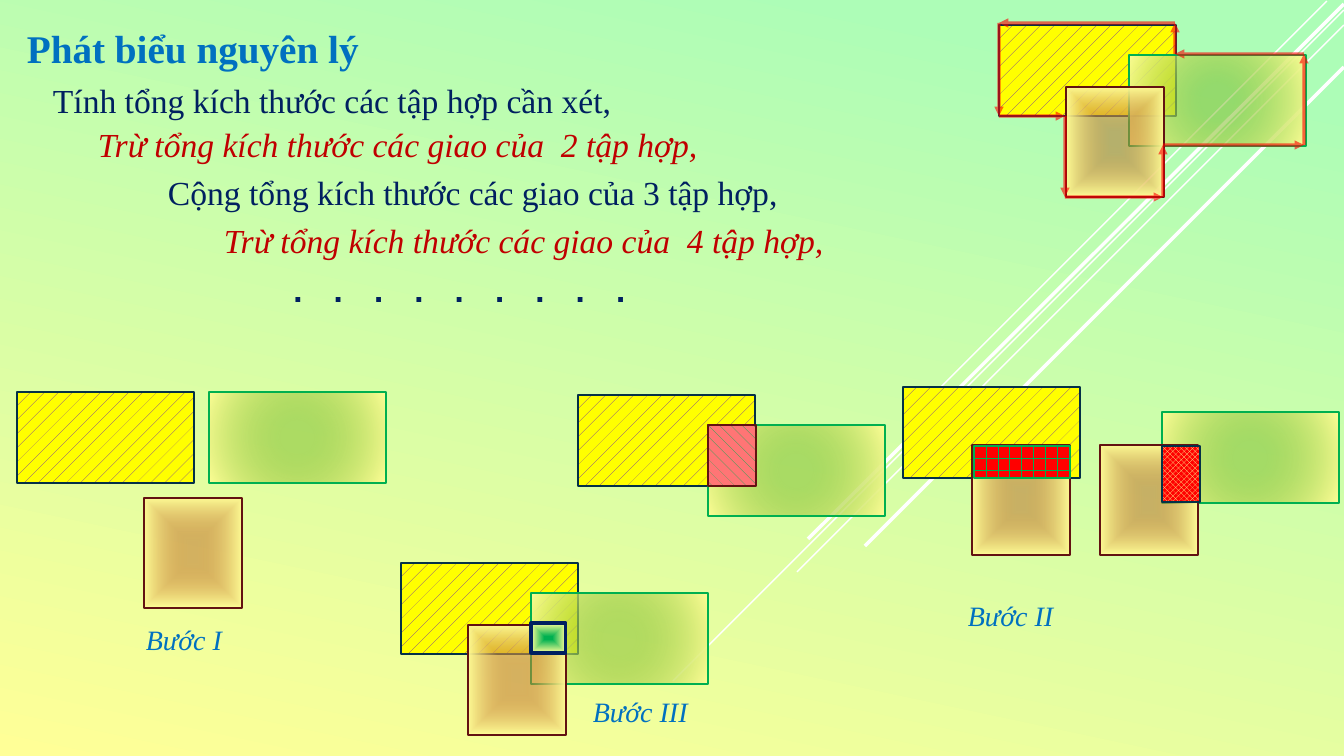
from dataclasses import dataclass
from itertools import pairwise

from lxml.etree import SubElement
from pptx import Presentation
from pptx.dml.color import RGBColor
from pptx.enum.dml import MSO_PATTERN_TYPE as Pattern
from pptx.enum.shapes import MSO_CONNECTOR_TYPE as Connector
from pptx.enum.shapes import MSO_SHAPE as Shape
from pptx.enum.text import MSO_AUTO_SIZE as AutoSize
from pptx.oxml.ns import qn
from pptx.util import Emu, Pt


@dataclass(frozen=True)
class Theme:
    serif: str = "Times New Roman"
    mono: str = "Courier New"
    title_size: int = 28
    body_size: int = 24
    label_size: int = 20
    blue: str = "0070C0"
    navy: str = "002060"
    crimson: str = "C00000"
    ink: str = "043148"
    maroon: str = "631212"
    green: str = "00B050"
    olive: str = "7CB924"
    brown: str = "B95615"
    cream: str = "FFFF97"
    mint: str = "ADFDB7"
    yellow: str = "FFFF00"
    purple: str = "7030A0"
    pink: str = "FF7575"
    red: str = "FF0000"
    white: str = "FFFFFF"


THEME = Theme()
SCALE = 914400 / 100.8
PAGE_SIZE = (1344, 756)

TITLE = ("Phát biểu nguyên lý", 17, 19, 356, 56)
PRINCIPLE = [
    ("Tính tổng kích thước các tập hợp cần xét,", 43, 75, 627, 50),
    ("Trừ tổng kích thước các giao của  2 tập hợp,", 88, 119, 634, 50),
    ("Cộng tổng kích thước các giao của 3 tập hợp,", 158, 167, 652, 50),
    ("Trừ tổng kích thước các giao của  4 tập hợp,", 214, 215, 634, 50),
]
DOTS = (". . . . . . . . .", 278, 264, 392, 50)
STEPS = [("Bước I", 136, 618), ("Bước II", 958, 594), ("Bước III", 583, 690)]
STEP_SIZE = (125, 44)

RAYS = [
    ((1327, 1), (907, 421), 1),
    ((1344, 10), (673, 681), 1),
    ((1344, 25), (797, 572), 1),
    ((1344, 4), (808, 539), 2.5),
    ((1344, 67), (865, 546), 2.5),
]
UNION_OUTLINE = [
    (1175, 54), (1175, 23), (999, 23), (999, 116), (1065, 116), (1065, 197),
    (1163, 197), (1163, 145), (1304, 145), (1304, 54), (1175, 54),
]

STYLES = {
    "hatched": ((Pattern.PERCENT_5, THEME.purple, THEME.yellow), THEME.ink, 1.25),
    "round": (("circle", 17, THEME.olive, 50), THEME.green, 1.5),
    "square": (("shape", 10, THEME.brown, 45), THEME.maroon, 1.25),
    "shingle": ((Pattern.SHINGLE, THEME.green, THEME.pink), THEME.maroon, 1.25),
    "brick": ((Pattern.HORIZONTAL_BRICK, THEME.green, THEME.red), THEME.green, 1.5),
    "diamond": ((Pattern.SOLID_DIAMOND, THEME.cream, THEME.red), THEME.ink, 1.25),
    "core": (("shape", 10, THEME.green, 100), THEME.navy, 2.25),
}
SIZES = {
    "hatched": (177, 91), "round": (177, 91), "square": (98, 110),
    "shingle": (48, 61), "brick": (96, 32), "diamond": (38, 56), "core": (35, 30),
}
TRIO = [("hatched", 0, 0), ("round", 130, 30), ("square", 67, 62)]
FIGURES = [
    ((999, 25), TRIO),
    ((17, 392), [("hatched", 0, 0), ("round", 192, 0), ("square", 127, 106)]),
    ((578, 395), [("hatched", 0, 0), ("round", 130, 30), ("shingle", 130, 30)]),
    ((903, 387), [("hatched", 0, 0), ("square", 69, 58), ("brick", 71, 59)]),
    ((1100, 412), [("round", 62, 0), ("square", 0, 33), ("diamond", 62, 34)]),
    ((401, 563), TRIO + [("core", 130, 60)]),
]


def px(length):
    return Emu(round(length * SCALE))


def rgb(color):
    return RGBColor.from_string(color)


def add_alpha(color_node, percent):
    SubElement(color_node, qn("a:alpha")).set("val", str(percent * 1000))


def paint_gradient(fill, owner, stops, angle=None, form=None):
    fill.gradient()
    gradient = owner.find(".//" + qn("a:gradFill"))
    for child in list(gradient):
        gradient.remove(child)
    stop_list = SubElement(gradient, qn("a:gsLst"))
    for position, color, opacity in stops:
        stop = SubElement(stop_list, qn("a:gs"))
        stop.set("pos", str(position * 1000))
        color_node = SubElement(stop, qn("a:srgbClr"))
        color_node.set("val", color)
        if opacity < 100:
            add_alpha(color_node, opacity)
    if form:
        center = SubElement(gradient, qn("a:path"))
        center.set("path", form)
        focus = SubElement(center, qn("a:fillToRect"))
        for side in "ltrb":
            focus.set(side, "50000")
    else:
        linear = SubElement(gradient, qn("a:lin"))
        linear.set("ang", str(angle * 60000))
        linear.set("scaled", "0")


def add_set(page, style, left, top):
    paint, border, weight = STYLES[style]
    width, height = SIZES[style]
    box = page.shapes.add_shape(Shape.RECTANGLE, px(left), px(top), px(width), px(height))
    box.shadow.inherit = False
    box.line.color.rgb = rgb(border)
    box.line.width = Pt(weight)
    if len(paint) == 3:
        box.fill.patterned()
        box.fill.pattern = paint[0]
        box.fill.fore_color.rgb = rgb(paint[1])
        box.fill.back_color.rgb = rgb(paint[2])
    else:
        form, position, color, opacity = paint
        stops = [(position, color, opacity), (100, THEME.cream, 100)]
        paint_gradient(box.fill, box.element.spPr, stops, form=form)


def add_line(page, start, end, color, weight, arrow=False):
    line = page.shapes.add_connector(Connector.STRAIGHT, *map(px, start + end))
    line.line.color.rgb = rgb(color)
    line.line.width = Pt(weight)
    properties = line.element.spPr
    if arrow:
        add_alpha(properties.find(".//" + qn("a:srgbClr")), 60)
        SubElement(properties.find(qn("a:ln")), qn("a:tailEnd")).set("type", "triangle")
    SubElement(properties, qn("a:effectLst"))


def add_text(page, entry, size, color, font=THEME.serif, bold=False, italic=False, wrap=True):
    text, *frame = entry
    box = page.shapes.add_textbox(*map(px, frame))
    box.text_frame.word_wrap = wrap
    box.text_frame.auto_size = AutoSize.SHAPE_TO_FIT_TEXT
    para = box.text_frame.paragraphs[0]
    span = para.add_run()
    span.text = text
    span.font.name = font
    span.font.size = Pt(size)
    span.font.bold = bold
    span.font.italic = italic
    span.font.color.rgb = rgb(color)


def main():
    deck = Presentation()
    deck.slide_width, deck.slide_height = map(px, PAGE_SIZE)
    page = deck.slides.add_slide(deck.slide_layouts[6])
    backdrop = [(10, THEME.mint, 47), (100, THEME.cream, 100)]
    paint_gradient(page.background.fill, page.element, backdrop, angle=102)

    for start, end, weight in RAYS:
        add_line(page, start, end, THEME.white, weight)
    add_text(page, TITLE, THEME.title_size, THEME.blue, bold=True, wrap=False)
    for index, entry in enumerate(PRINCIPLE):
        subtract = index % 2 == 1
        color = THEME.crimson if subtract else THEME.navy
        add_text(page, entry, THEME.body_size, color, italic=subtract)
    add_text(page, DOTS, THEME.body_size, THEME.navy, font=THEME.mono, bold=True)

    for (left, top), members in FIGURES:
        for style, right, down in members:
            add_set(page, style, left + right, top + down)
    for start, end in pairwise(UNION_OUTLINE):
        add_line(page, start, end, THEME.red, 2.25, arrow=True)
    for step in STEPS:
        add_text(page, step + STEP_SIZE, THEME.label_size, THEME.blue, italic=True)

    deck.save("out.pptx")


if __name__ == "__main__":
    main()
